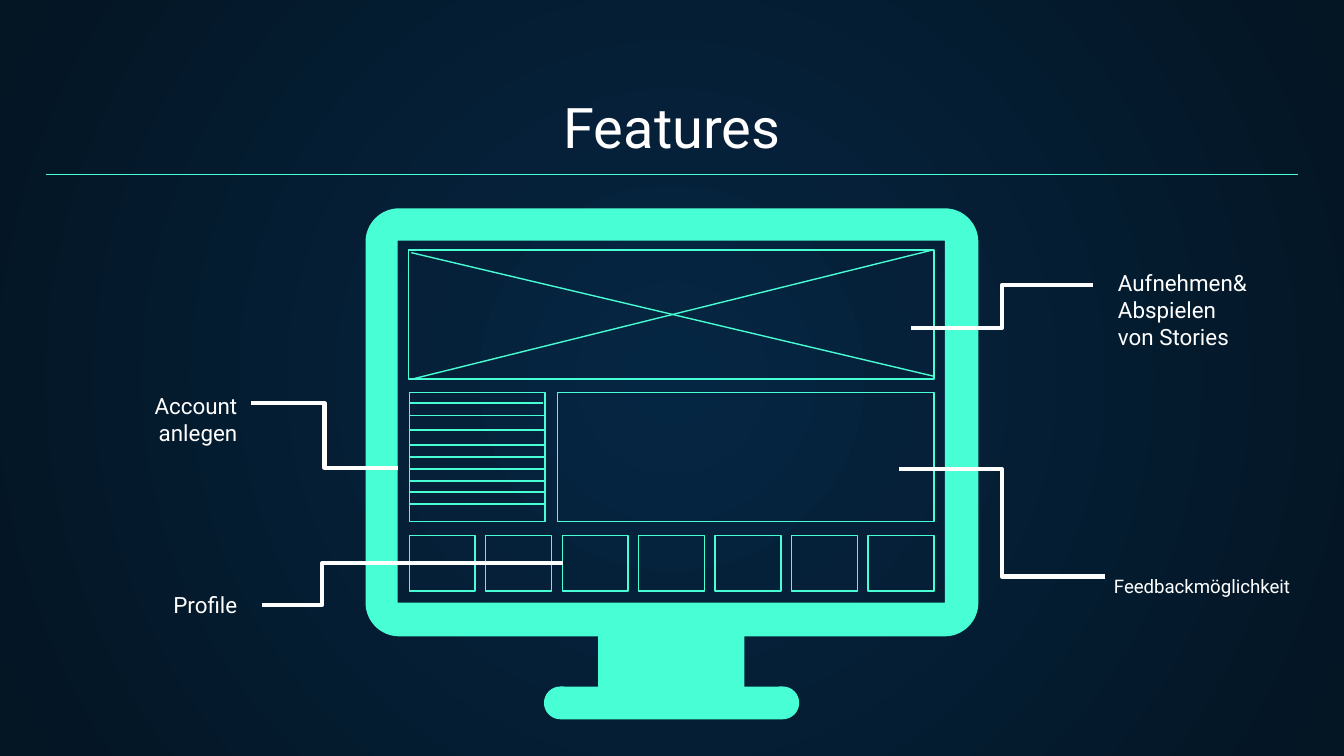
from math import cos, radians, sin

from lxml.etree import SubElement
from pptx import Presentation
from pptx.dml.color import RGBColor
from pptx.enum.shapes import MSO_CONNECTOR as Link, MSO_SHAPE as Preset
from pptx.enum.text import MSO_ANCHOR as Anchor, PP_ALIGN as Align
from pptx.oxml import parse_xml
from pptx.oxml.ns import nsdecls, qn
from pptx.util import Inches, Pt

MINT = RGBColor(0x48, 0xFF, 0xD5)
WHITE = RGBColor(0xFF, 0xFF, 0xFF)
NAVY = RGBColor(0x05, 0x26, 0x43)
NIGHT = RGBColor(0x04, 0x15, 0x23)
FONT = "Roboto"
COLUMNS, ROWS = 100, 56.25


def cell(count):
    return Inches(count / 10)


def write(frame, text, size=12, color=WHITE, align=Align.LEFT,
          anchor=Anchor.TOP, spacing=None):
    frame.word_wrap = True
    frame.vertical_anchor = anchor
    frame.margin_left = frame.margin_right = cell(1)
    frame.margin_top = frame.margin_bottom = cell(1)
    para = frame.paragraphs[0]
    para.alignment = align
    para.line_spacing = spacing
    for index, line in enumerate(text.split("\n")):
        if index:
            para.add_line_break()
        span = para.add_run()
        span.text = line
        span.font.name, span.font.size = FONT, Pt(size)
        span.font.color.rgb = color


def arc(x, y, radius, start, steps=16, sweep=90):
    angles = [radians(start + sweep * i / steps) for i in range(steps + 1)]
    return [(x + radius * cos(a), y + radius * sin(a)) for a in angles]


class Sketch:
    def __init__(self, page, color=MINT, weight=0.75):
        self.page, self.color, self.weight = page, color, weight

    def background(self, inner, outer):
        fill = self.page.background.fill
        fill.gradient()
        for stop, color in zip(fill.gradient_stops, (inner, outer)):
            stop.color.rgb = color
        linear = self.page._element.find(".//" + qn("a:lin"))
        linear.getparent().replace(linear, parse_xml(
            f'<a:path {nsdecls("a")} path="circle"><a:fillToRect '
            'l="50000" t="50000" r="50000" b="50000"/></a:path>'))

    def text(self, left, top, width, height, text, **style):
        box = self.page.shapes.add_textbox(*map(cell, (left, top, width, height)))
        write(box.text_frame, text, **style)

    def frame(self, left, top, width, height, group=None):
        shapes = (group or self.page).shapes
        box = shapes.add_shape(Preset.RECTANGLE, *map(cell, (left, top, width, height)))
        box.shadow.inherit = False
        box.fill.background()
        box.line.color.rgb, box.line.width = self.color, Pt(self.weight)

    def outline(self, *contours):
        paths = [[(cell(x), cell(y)) for x, y in contour] for contour in contours]
        builder = self.page.shapes.build_freeform(*paths[0][0])
        builder.add_line_segments(paths[0][1:], close=True)
        for points in paths[1:]:
            builder.move_to(*points[0])
            builder.add_line_segments(points[1:], close=True)
        shape = builder.convert_to_shape()
        shape.shadow.inherit = False
        shape.fill.solid()
        shape.fill.fore_color.rgb = self.color
        shape.line.fill.background()

    def connect(self, kind, ends, color, weight):
        link = self.page.shapes.add_connector(kind, *map(cell, ends))
        link.line.color.rgb, link.line.width = color, Pt(weight)
        SubElement(link._element.spPr, qn("a:effectLst"))
        return link

    def line(self, *ends):
        self.connect(Link.STRAIGHT, ends, self.color, self.weight)

    def pointer(self, *ends, bend=0.5):
        link = self.connect(Link.ELBOW, ends, WHITE, 2.25)
        geometry = link._element.spPr.find(qn("a:prstGeom"))
        guides = geometry.find(qn("a:avLst"))
        if guides is None:
            guides = SubElement(geometry, qn("a:avLst"))
        SubElement(guides, qn("a:gd"), name="adj1", fmla=f"val {round(bend * 100000)}")


def draw_monitor(sketch):
    case = (
        arc(29.7, 18, 2.5, 180) + arc(70.3, 18, 2.5, 270)
        + arc(70.3, 44.85, 2.5, 0) + [(55.4, 47.35), (55.4, 51.1)]
        + arc(58.25, 52.3, 1.22, -90, sweep=180)
        + arc(41.7, 52.3, 1.22, 90, sweep=180)
        + [(44.5, 51.1), (44.5, 47.35)] + arc(29.7, 44.85, 2.5, 90))
    screen = [(29.6, 17.9), (29.6, 44.85), (70.3, 44.85), (70.3, 17.9)]
    sketch.outline(case, screen)


def draw_wireframe(sketch):
    sketch.frame(30.4, 18.6, 39.1, 9.6)
    sketch.frame(30.45, 29.2, 10.1, 9.6)
    sketch.frame(41.5, 29.2, 28, 9.6)
    group = sketch.page.shapes.add_group_shape()
    for index in range(7):
        sketch.frame(30.45 + 5.69 * index, 39.85, 4.9, 4.13, group)
    sketch.line(30.6, 18.8, 69.5, 28)
    sketch.line(30.7, 28.2, 69.4, 18.6)
    for row in (30.9, 32, 33.1, 34, 34.9, 35.8, 36.6, 37.5):
        sketch.line(30.5, row, 40.5, row)
    sketch.line(30.4, 30, 40.4, 30)


def draw_labels(sketch):
    sketch.text(82.2, 19.05, 11.6, 2.1, "Aufnehmen& Abspielen\nvon Stories")
    sketch.text(7.05, 28.2, 11.6, 2.1, "Account anlegen", align=Align.RIGHT)
    sketch.text(81.9, 40.1, 16.3, 5.5, "Feedbackmöglichkeit", size=10, spacing=2.0)
    sketch.text(7.05, 43, 11.6, 2.1, "Profile", align=Align.RIGHT)
    sketch.pointer(18.7, 30, 29.6, 34.8)
    sketch.pointer(19.5, 45, 41.9, 41.9, bend=0.2)
    sketch.pointer(67.8, 24.4, 81.3, 21.2)
    sketch.pointer(66.9, 34.9, 82.2, 42.9)


def main():
    deck = Presentation()
    deck.slide_width, deck.slide_height = cell(COLUMNS), cell(ROWS)
    sketch = Sketch(deck.slides.add_slide(deck.slide_layouts[6]))
    sketch.background(NAVY, NIGHT)
    sketch.text(3.4, 6.3, 93.2, 6.6, "Features", size=30,
                align=Align.CENTER, anchor=Anchor.BOTTOM)
    draw_monitor(sketch)
    draw_wireframe(sketch)
    draw_labels(sketch)
    sketch.line(3.4, 13, 96.6, 13)
    deck.save("out.pptx")


if __name__ == "__main__":
    main()
